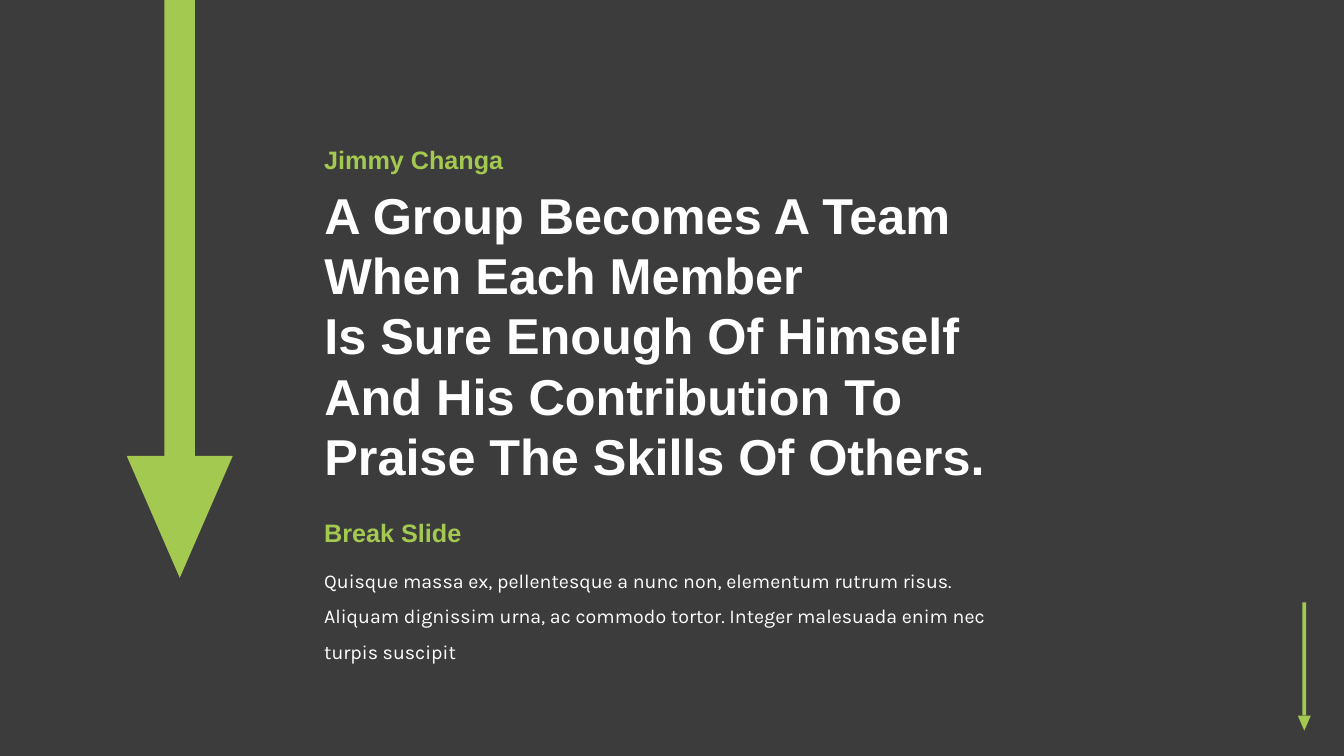
from pptx import Presentation
from pptx.dml.color import RGBColor
from pptx.enum.shapes import MSO_SHAPE as Kind
from pptx.enum.text import MSO_ANCHOR as Anchor, MSO_AUTO_SIZE as Fit, PP_ALIGN as Align
from pptx.util import Cm, Pt

DARK, GREEN, WHITE = "3C3C3C", "A3C951", "FFFFFF"

QUOTE = [
    "A Group Becomes A Team",
    "When Each Member",
    "Is Sure Enough Of Himself",
    "And His Contribution To",
    "Praise The Skills Of Others.",
]
AUTHOR = "Jimmy Changa"
LABEL = "Break Slide"
BODY = ("Quisque massa ex, pellentesque a nunc non, elementum rutrum risus. "
        "Aliquam dignissim urna, ac commodo tortor. "
        "Integer malesuada enim nec turpis suscipit")

# Arrows in cm: middle x, top, stem width, stem length, head width, head length
ARROWS = [
    (32.87, 15.18, 0.1, 2.85, 0.33, 0.38),
    (4.53, -0.97, 0.77, 12.46, 2.67, 3.07),
]
LEFT = 7.92


def color(code):
    return RGBColor.from_string(code)


def block(kind, x, y, w, h, turn=0):
    part = slide.shapes.add_shape(kind, Cm(x), Cm(y), Cm(w), Cm(h))
    part.rotation = turn
    part.shadow.inherit = False
    part.fill.solid()
    part.fill.fore_color.rgb = color(GREEN)
    part.line.fill.background()


def arrow(mid, top, stem, length, head, tip):
    block(Kind.RECTANGLE, mid - stem / 2, top, stem, length)
    block(Kind.ISOSCELES_TRIANGLE, mid - head / 2, top + length, head, tip, turn=180)


def write(lines, top, width, height, size, hue=GREEN, font="Arial",
          bold=True, space=None, box=None):
    box = box or slide.shapes.add_textbox(0, 0, 0, 0)
    box.left, box.top, box.width, box.height = Cm(LEFT), Cm(top), Cm(width), Cm(height)
    frame = box.text_frame
    frame.text = "\n".join(lines)
    frame.word_wrap = True
    frame.auto_size = Fit.NONE
    frame.vertical_anchor = Anchor.TOP
    for para in frame.paragraphs:
        para.alignment = Align.LEFT
        para.line_spacing = space
        for run in para.runs:
            run.font.name = font
            run.font.size = Pt(size)
            run.font.bold = bold
            run.font.color.rgb = color(hue)


deck = Presentation()
deck.slide_width, deck.slide_height = Cm(33.87), Cm(19.05)
slide = deck.slides.add_slide(deck.slide_layouts[5])
slide.background.fill.solid()
slide.background.fill.fore_color.rgb = color(DARK)

for spec_row in ARROWS:
    arrow(*spec_row)

write(QUOTE, 4.5, 19.3, 7.95, 36, hue=WHITE, space=Pt(43.2), box=slide.shapes.title)
write([AUTHOR], 3.5, 6.15, 1.02, 18)
write([BODY], 13.92, 18.31, 2.8, 14, hue=WHITE, font="Karla", bold=False, space=1.5)
write([LABEL], 12.92, 5.66, 1.02, 18)

deck.save("out.pptx")
